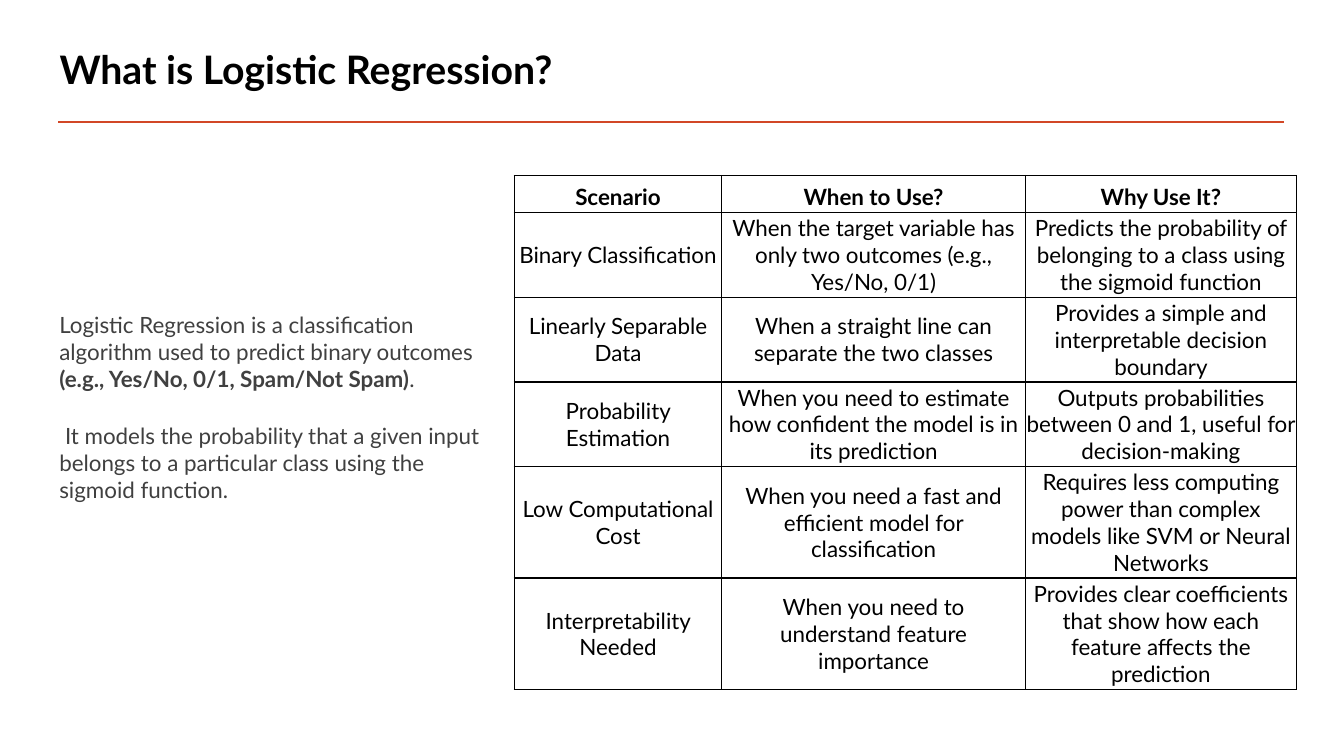
from lxml.etree import SubElement
from pptx import Presentation
from pptx.dml.color import RGBColor
from pptx.enum.shapes import MSO_CONNECTOR
from pptx.enum.text import MSO_ANCHOR, PP_ALIGN
from pptx.oxml.ns import qn
from pptx.util import Inches, Pt

COLORS = {"ink": "000000", "body": "404040", "accent": "D24726"}
FONT = "Lato"
BODY_SIZE = 16
LEFT = 0.49
CONTENT_TOP = 1.74

DEFINITION = [
    [("Logistic Regression is a classification algorithm used to predict binary outcomes ", False),
     ("(e.g., Yes/No, 0/1, Spam/Not Spam)", True),
     (".", False)],
    [(" It models the probability that a given input belongs to a particular class "
      "using the sigmoid function.", False)],
]

COLUMN_WIDTHS = [2.06, 3.01, 2.69]
ROW_HEIGHTS = [0.37] + [0.84] * 3 + [1.1] * 2
SCENARIOS = [
    ("Scenario", "When to Use?", "Why Use It?"),
    ("Binary Classification",
     "When the target variable has only two outcomes (e.g., Yes/No, 0/1)",
     "Predicts the probability of belonging to a class using the sigmoid function"),
    ("Linearly Separable Data",
     "When a straight line can separate the two classes",
     "Provides a simple and interpretable decision boundary"),
    ("Probability Estimation",
     "When you need to estimate how confident the model is in its prediction",
     "Outputs probabilities between 0 and 1, useful for decision-making"),
    ("Low Computational Cost",
     "When you need a fast and efficient model for classification",
     "Requires less computing power than complex models like SVM or Neural Networks"),
    ("Interpretability Needed",
     "When you need to understand feature importance",
     "Provides clear coefficients that show how each feature affects the prediction"),
]


def format_run(run, size, color, bold=False):
    run.font.name = FONT
    run.font.size = Pt(size)
    run.font.bold = bold
    run.font.color.rgb = RGBColor.from_string(COLORS[color])


def set_title(slide, wording):
    title = slide.shapes.title
    title.left, title.top, title.width, title.height = map(Inches, (LEFT, 0.45, 10, 0.7))
    frame = title.text_frame
    frame.text = wording
    frame.vertical_anchor = MSO_ANCHOR.TOP
    heading = frame.paragraphs[0]
    heading.alignment = PP_ALIGN.LEFT
    heading.line_spacing = 0.9
    format_run(heading.runs[0], 28, "ink", bold=True)


def add_rule(slide, start, end, y):
    rule = slide.shapes.add_connector(
        MSO_CONNECTOR.STRAIGHT, *map(Inches, (start, y, end, y)))
    rule.line.color.rgb = RGBColor.from_string(COLORS["accent"])
    rule.line.width = Pt(2)
    SubElement(rule._element.spPr, qn("a:effectLst"))


def add_definition(slide, paragraphs):
    box = slide.shapes.add_textbox(*map(Inches, (LEFT, CONTENT_TOP, 4.62, 5.17)))
    frame = box.text_frame
    frame.word_wrap = True
    frame.vertical_anchor = MSO_ANCHOR.MIDDLE
    frame.margin_bottom = Inches(0.62)
    for index, pieces in enumerate(paragraphs):
        paragraph = frame.add_paragraph() if index else frame.paragraphs[0]
        paragraph.space_before = Pt(10)
        paragraph.space_after = Pt(12)
        for wording, bold in pieces:
            run = paragraph.add_run()
            run.text = wording
            format_run(run, BODY_SIZE, "body", bold)


def add_borders(cell):
    properties = cell._tc.get_or_add_tcPr()
    for side in ("lnL", "lnR", "lnT", "lnB"):
        border = SubElement(properties, qn(f"a:{side}"), w=str(Pt(1)))
        fill = SubElement(border, qn("a:solidFill"))
        SubElement(fill, qn("a:srgbClr"), val=COLORS["ink"])


def fill_cell(cell, wording, is_header, side_margin):
    add_borders(cell)
    cell.fill.background()
    cell.margin_left = cell.margin_right = Inches(side_margin)
    cell.margin_top = cell.margin_bottom = Inches(0.02)
    cell.vertical_anchor = MSO_ANCHOR.BOTTOM if is_header else MSO_ANCHOR.MIDDLE
    cell.text_frame.text = wording
    paragraph = cell.text_frame.paragraphs[0]
    paragraph.alignment = PP_ALIGN.CENTER
    format_run(paragraph.runs[0], BODY_SIZE, "ink", bold=is_header)


def add_scenario_table(slide, rows):
    table = slide.shapes.add_table(
        len(rows), len(COLUMN_WIDTHS), Inches(5.1), Inches(CONTENT_TOP),
        Inches(sum(COLUMN_WIDTHS)), Inches(sum(ROW_HEIGHTS))).table
    table.first_row = table.horz_banding = False
    for column, width in zip(table.columns, COLUMN_WIDTHS):
        column.width = Inches(width)
    for row, height in zip(table.rows, ROW_HEIGHTS):
        row.height = Inches(height)
    for r, wordings in enumerate(rows):
        for c, wording in enumerate(wordings):
            is_tight = r > 0 and c == len(wordings) - 1
            fill_cell(table.cell(r, c), wording, r == 0, 0 if is_tight else 0.03)


def main():
    deck = Presentation()
    deck.slide_width, deck.slide_height = Inches(13.33), Inches(7.5)
    slide = deck.slides.add_slide(deck.slide_layouts.get_by_name("Title Only"))
    add_rule(slide, 0.58, 12.74, 1.21)
    add_definition(slide, DEFINITION)
    set_title(slide, "What is Logistic Regression?")
    add_scenario_table(slide, SCENARIOS)
    deck.save("out.pptx")


if __name__ == "__main__":
    main()
